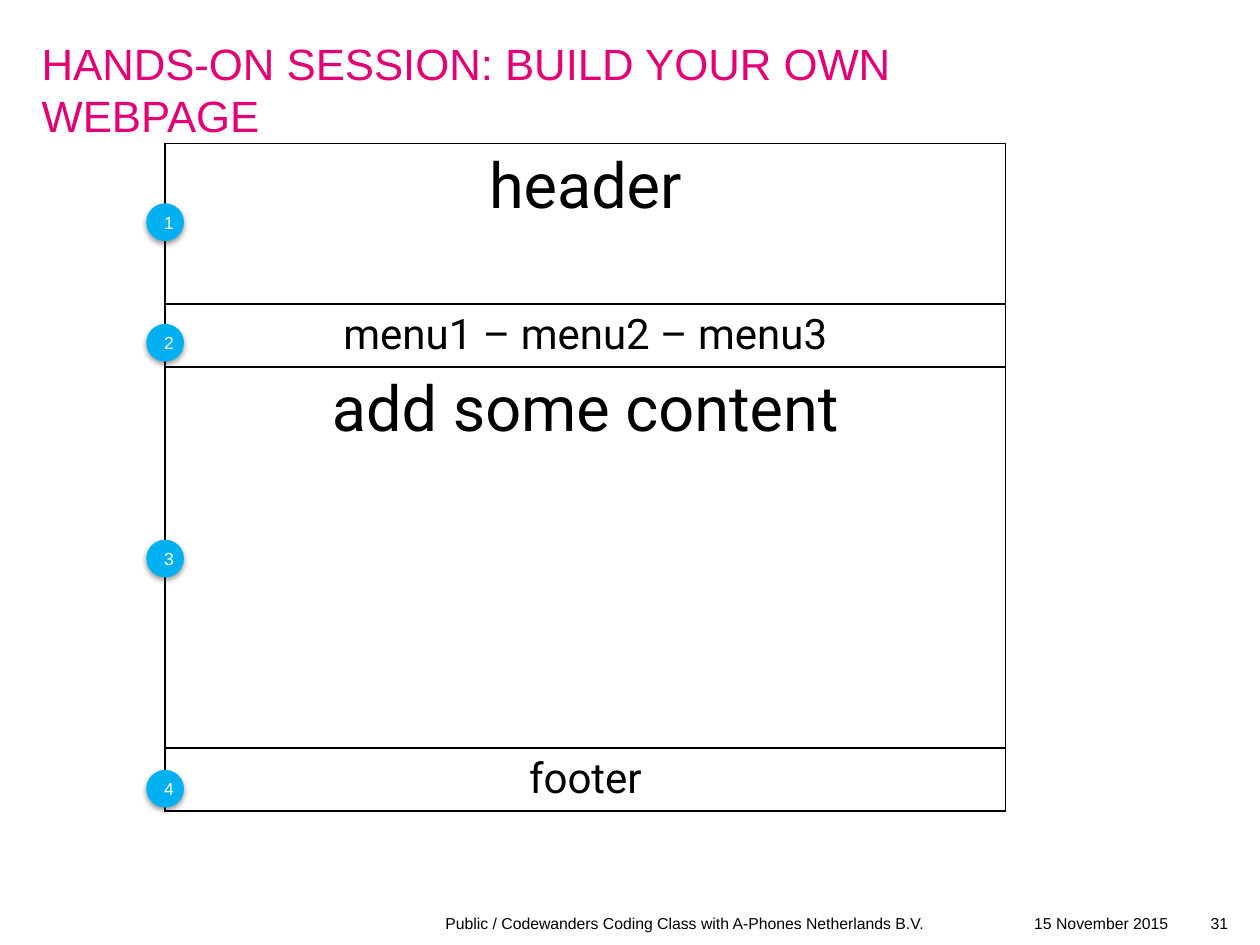
"""Build the web page layout slide with its four numbered parts."""
from lxml.etree import fromstring
from pptx import Presentation
from pptx.dml.color import RGBColor
from pptx.enum.shapes import MSO_SHAPE
from pptx.enum.text import MSO_ANCHOR, PP_ALIGN
from pptx.util import Cm, Pt

THEME = {
    "pink": "E20074", "black": "000000", "white": "FFFFFF", "blue": "00B0F0",
    "plain": "Arial", "page": "Roboto",
    "title": 25, "foot": 9, "badge": 10, "large": 36, "small": 24,
}
NS = 'xmlns:a="http://schemas.openxmlformats.org/drawingml/2006/main"'
EDGE = ('<a:{side} {ns} w="12700"><a:solidFill><a:srgbClr val="{ink}"/>'
        '</a:solidFill></a:{side}>')
SHADE = ('<a:outerShdw {ns} blurRad="39400" dist="20300" dir="5400000" rotWithShape="0">'
         '<a:srgbClr val="{ink}"><a:alpha val="38000"/></a:srgbClr></a:outerShdw>')


def write(frame, text, size, ink, face="plain", align=PP_ALIGN.LEFT):
    line = frame.paragraphs[0]
    line.alignment = align
    run = line.add_run()
    run.text = text
    form = {"name": THEME[face], "size": Pt(THEME[size])}
    for key, value in form.items():
        setattr(run.font, key, value)
    run.font.color.rgb = RGBColor.from_string(THEME[ink])


deck = Presentation()
for key, value in {"slide_width": Cm(25.4), "slide_height": Cm(19.05)}.items():
    setattr(deck, key, value)
slide = deck.slides.add_slide(deck.slide_layouts[6])
shapes = slide.shapes

labels = [
    ("HANDS-ON SESSION: BUILD YOUR OWN WEBPAGE",
     (0.84, 0.74, 21.39, 1.6), "title", "pink", PP_ALIGN.LEFT),
    ("Public / Codewanders Coding Class with A-Phones Netherlands B.V.",
     (1.27, 18.42, 17.35, 0.63), "foot", "black", PP_ALIGN.RIGHT),
    ("15 November 2015", (20.85, 18.42, 3.28, 0.63), "foot", "black", PP_ALIGN.LEFT),
    ("31", (24.13, 18.42, 0.63, 0.63), "foot", "black", PP_ALIGN.RIGHT),
]
flush = {"word_wrap": True, "margin_left": 0, "margin_top": 0,
         "margin_right": 0, "margin_bottom": 0}
for text, place, size, ink, align in labels:
    frame = shapes.add_textbox(*map(Cm, place)).text_frame
    for key, value in flush.items():
        setattr(frame, key, value)
    write(frame, text, size, ink, align=align)

parts = [
    ("header", 3.24, "large", 4.1),
    ("menu1 – menu2 – menu3", 1.25, "small", 6.53),
    ("add some content", 7.68, "large", 10.88),
    ("footer", 1.25, "small", 15.52),
]
total = sum(part[1] for part in parts)
grid = shapes.add_table(len(parts), 1, Cm(3.33), Cm(2.89), Cm(16.94), Cm(total)).table
for key in ("first_row", "horz_banding"):
    setattr(grid, key, False)

for index, (text, height, size, top) in enumerate(parts):
    grid.rows[index].height = Cm(height)
    cell = grid.cell(index, 0)
    write(cell.text_frame, text, size, "black", "page", PP_ALIGN.CENTER)
    cell.fill.background()
    props = cell._tc.get_or_add_tcPr()
    for spot, side in enumerate(("lnL", "lnR", "lnT", "lnB")):
        props.insert(spot, fromstring(EDGE.format(side=side, ns=NS, ink=THEME["black"])))

    badge = shapes.add_shape(MSO_SHAPE.OVAL, Cm(2.95), Cm(top), Cm(0.76), Cm(0.76))
    badge.fill.solid()
    badge.fill.fore_color.rgb = RGBColor.from_string(THEME["blue"])
    badge.line.fill.background()
    badge.shadow.inherit = False
    glow = badge._element.spPr.find("{*}effectLst")
    glow.append(fromstring(SHADE.format(ns=NS, ink=THEME["black"])))
    badge.text_frame.vertical_anchor = MSO_ANCHOR.MIDDLE
    write(badge.text_frame, str(index + 1), "badge", "white", align=PP_ALIGN.CENTER)

deck.save("out.pptx")
